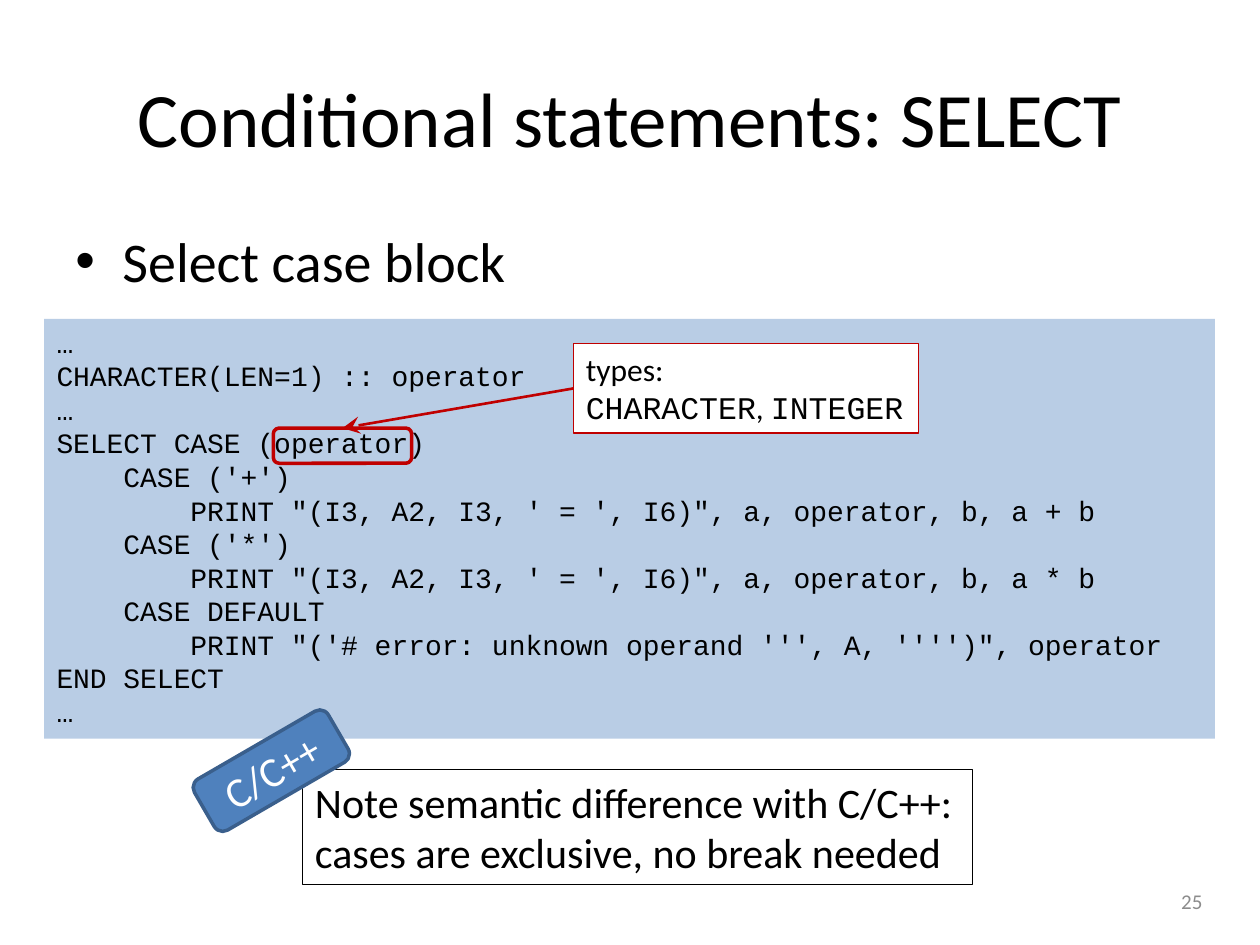
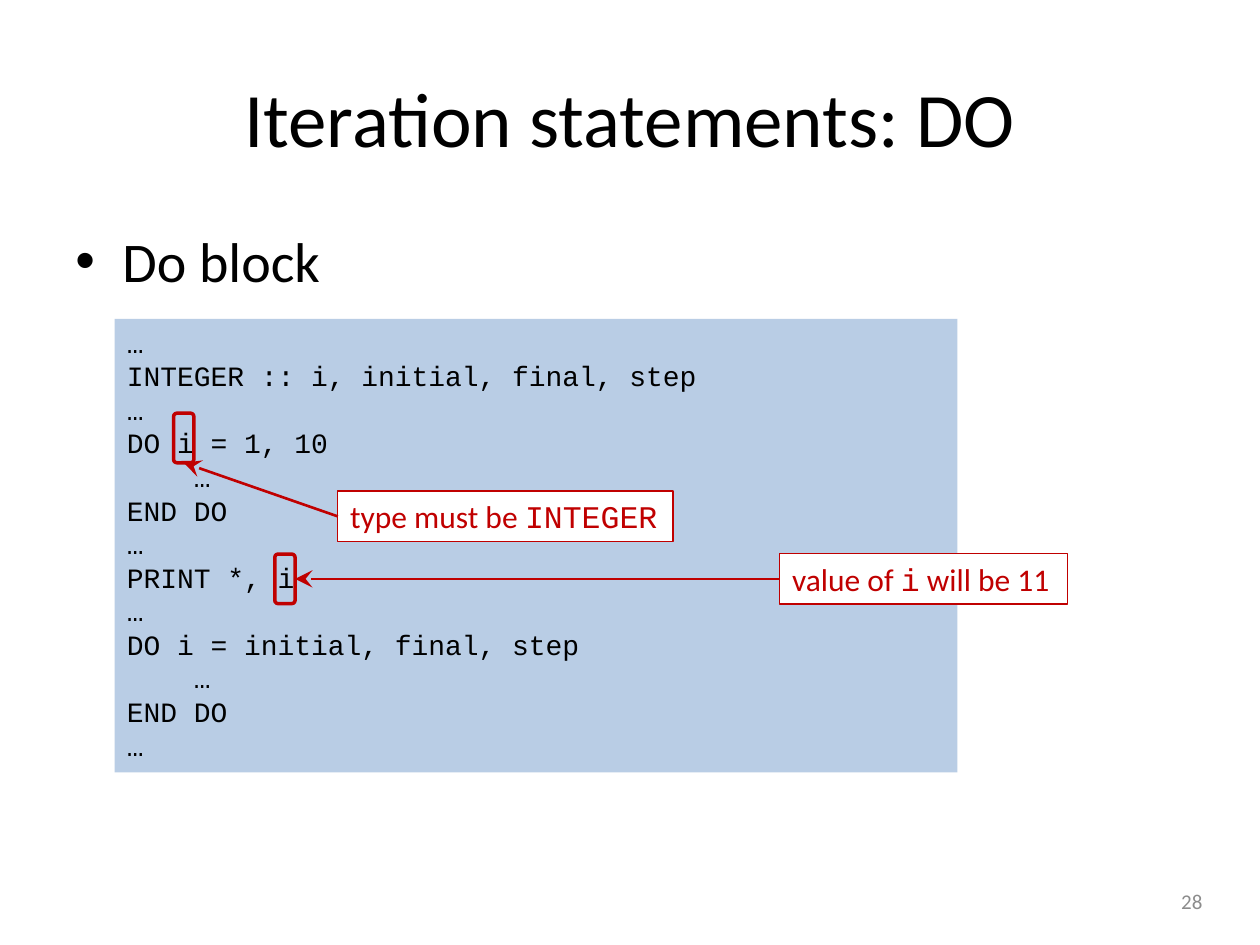
from dataclasses import dataclass

from lxml.etree import SubElement
from pptx import Presentation
from pptx.dml.color import RGBColor
from pptx.enum.shapes import MSO_CONNECTOR, MSO_SHAPE
from pptx.enum.text import MSO_ANCHOR, MSO_AUTO_SIZE, PP_ALIGN
from pptx.oxml.ns import qn
from pptx.util import Cm, Pt


@dataclass(frozen=True)
class Theme:
    body_font: str = "Calibri"
    code_font: str = "Courier New"
    black: str = "000000"
    white: str = "FFFFFF"
    grey: str = "8C8C8C"
    red: str = "C00000"
    code_fill: str = "B9CDE5"
    badge_fill: str = "4F81BD"
    badge_line: str = "3A5F8C"
    title_size: int = 44
    bullet_size: int = 32
    note_size: int = 24
    callout_size: int = 18
    code_size: int = 16
    number_size: int = 12
    thin: float = 0.75
    arrow: float = 1.5
    thick: float = 2


TOP, LEFT, BOTTOM, RIGHT = range(4)
SELECT_CODE = """…
CHARACTER(LEN=1) :: operator
…
SELECT CASE (operator)
    CASE ('+')
        PRINT "(I3, A2, I3, ' = ', I6)", a, operator, b, a + b
    CASE ('*')
        PRINT "(I3, A2, I3, ' = ', I6)", a, operator, b, a * b
    CASE DEFAULT
        PRINT "('# error: unknown operand ''', A, '''')", operator
END SELECT
…"""
DO_CODE = """…
INTEGER :: i, initial, final, step
…
DO i = 1, 10
    …
END DO
…
PRINT *, i
…
DO i = initial, final, step
    …
END DO
…"""


class Deck:
    def __init__(self, theme):
        self.theme = theme
        self.prs = Presentation()
        self.prs.slide_width, self.prs.slide_height = Cm(25.4), Cm(19.05)
        self.s = None

    def slide(self, title, bullet, number):
        t = self.theme
        self.s = self.prs.slides.add_slide(self.prs.slide_layouts[6])
        self.text((1.27, 0.76, 22.86, 3.18), title, t.title_size, t.black,
                  PP_ALIGN.CENTER, MSO_ANCHOR.MIDDLE)
        self.bullet((1.27, 4.45, 22.86, 12.57), bullet)
        self.text((18.57, 17.65, 5.92, 1.02), str(number), t.number_size, t.grey,
                  PP_ALIGN.RIGHT, MSO_ANCHOR.MIDDLE)

    def style(self, r, size, color, font=None):
        r.font.name = font or self.theme.body_font
        r.font.size = Pt(size)
        r.font.color.rgb = RGBColor.from_string(color)

    def fill_text(self, sp, text, size, color, align=PP_ALIGN.LEFT,
                  anchor=MSO_ANCHOR.TOP, font=None):
        tf = sp.text_frame
        tf.word_wrap = True
        tf.vertical_anchor = anchor
        tf.text = text
        for p in tf.paragraphs:
            p.alignment = align
            for r in p.runs:
                self.style(r, size, color, font)

    def text(self, box, text, size, color, align=PP_ALIGN.LEFT, anchor=MSO_ANCHOR.TOP):
        sp = self.s.shapes.add_textbox(*map(Cm, box))
        self.fill_text(sp, text, size, color, align, anchor)
        return sp

    def bullet(self, box, text):
        sp = self.text(box, text, self.theme.bullet_size, self.theme.black)
        pPr = sp.text_frame.paragraphs[0]._p.get_or_add_pPr()
        pPr.set("marL", str(Cm(0.95)))
        pPr.set("indent", str(-Cm(0.95)))
        SubElement(pPr, qn("a:buFont"), typeface="Arial")
        SubElement(pPr, qn("a:buChar"), char="•")

    def shape(self, kind, box, fill=None, line=None, width=None):
        sp = self.s.shapes.add_shape(kind, *map(Cm, box))
        sp.shadow.inherit = False
        if fill:
            sp.fill.solid()
            sp.fill.fore_color.rgb = RGBColor.from_string(fill)
        else:
            sp.fill.background()
        if line:
            sp.line.color.rgb = RGBColor.from_string(line)
            sp.line.width = Pt(width)
        else:
            sp.line.fill.background()
        return sp

    def code(self, box, text):
        t = self.theme
        sp = self.shape(MSO_SHAPE.RECTANGLE, box, t.code_fill)
        self.fill_text(sp, text, t.code_size, t.black, font=t.code_font)
        sp.text_frame.auto_size = MSO_AUTO_SIZE.SHAPE_TO_FIT_TEXT

    def mark(self, box):
        t = self.theme
        return self.shape(MSO_SHAPE.ROUNDED_RECTANGLE, box, None, t.red, t.thick)

    def callout(self, box, lines, color):
        t = self.theme
        sp = self.shape(MSO_SHAPE.RECTANGLE, box, t.white, t.red, t.thin)
        tf = sp.text_frame
        tf.word_wrap = False
        tf.auto_size = MSO_AUTO_SIZE.SHAPE_TO_FIT_TEXT
        tf.vertical_anchor = MSO_ANCHOR.TOP
        p = tf.paragraphs[0]
        p.alignment = PP_ALIGN.LEFT
        for i, line in enumerate(lines):
            if i:
                p.add_line_break()
            for text, font in line:
                r = p.add_run()
                r.text = text
                self.style(r, t.callout_size, color, font)
        return sp

    def arrow(self, start, end, end_side):
        c = self.s.shapes.add_connector(MSO_CONNECTOR.STRAIGHT, 0, 0, 0, 0)
        c.begin_connect(start, LEFT)
        c.end_connect(end, end_side)
        c.line.color.rgb = RGBColor.from_string(self.theme.red)
        c.line.width = Pt(self.theme.arrow)
        SubElement(c.line._get_or_add_ln(), qn("a:tailEnd"), type="stealth",
                   w="lg", len="lg")
        SubElement(c._element.spPr, qn("a:effectLst"))

    def explain(self, mark_box, callout_box, lines, color, side):
        mark = self.mark(mark_box)
        self.arrow(self.callout(callout_box, lines, color), mark, side)

    def note(self, box, text):
        t = self.theme
        sp = self.shape(MSO_SHAPE.RECTANGLE, box, t.white, t.black, t.thin)
        self.fill_text(sp, text, t.note_size, t.black)
        sp.text_frame.word_wrap = False
        sp.text_frame.auto_size = MSO_AUTO_SIZE.SHAPE_TO_FIT_TEXT

    def badge(self, box, text, angle):
        t = self.theme
        sp = self.shape(MSO_SHAPE.ROUNDED_RECTANGLE, box, t.badge_fill,
                        t.badge_line, t.thick)
        sp.rotation = angle
        self.fill_text(sp, text, t.note_size, t.white, PP_ALIGN.CENTER,
                       MSO_ANCHOR.MIDDLE)


def main():
    t = Theme()
    body, code = t.body_font, t.code_font
    deck = Deck(t)

    deck.slide("Conditional statements: SELECT", "Select case block", 25)
    deck.code((0.89, 6.43, 23.6, 8.46), SELECT_CODE)
    deck.explain((5.51, 8.63, 2.79, 0.71), (11.56, 6.93, 6.96, 1.8),
                 [[("types:", body)],
                  [("CHARACTER", code), (", ", body), ("INTEGER", code)]],
                 t.black, TOP)
    deck.note((6.1, 15.52, 13.51, 2.31),
              "Note semantic difference with C/C++:\ncases are exclusive, no break needed")
    deck.badge((3.91, 14.94, 3.12, 1.19), "C/C++", 329.9)

    deck.slide("Iteration statements: DO", "Do block", 28)
    deck.code((2.31, 6.43, 16.99, 9.14), DO_CODE)
    deck.explain((3.5, 8.33, 0.41, 1), (6.81, 9.9, 6.76, 1.02),
                 [[("type must be ", body), ("INTEGER", code)]], t.red, BOTTOM)
    deck.explain((5.54, 11.17, 0.41, 1), (15.72, 11.16, 5.8, 1.02),
                 [[("value of ", body), ("i", code), (" will be 11", body)]],
                 t.red, RIGHT)

    deck.prs.save("out.pptx")


if __name__ == "__main__":
    main()
